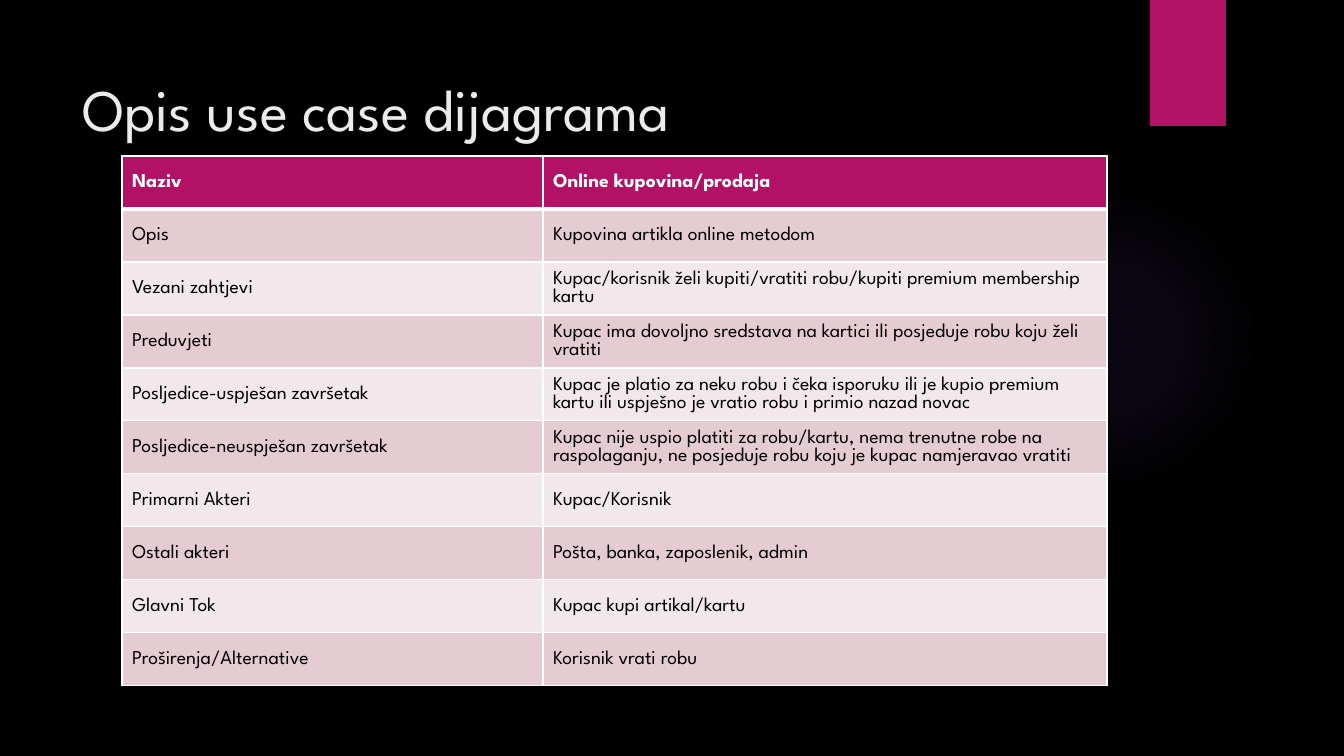
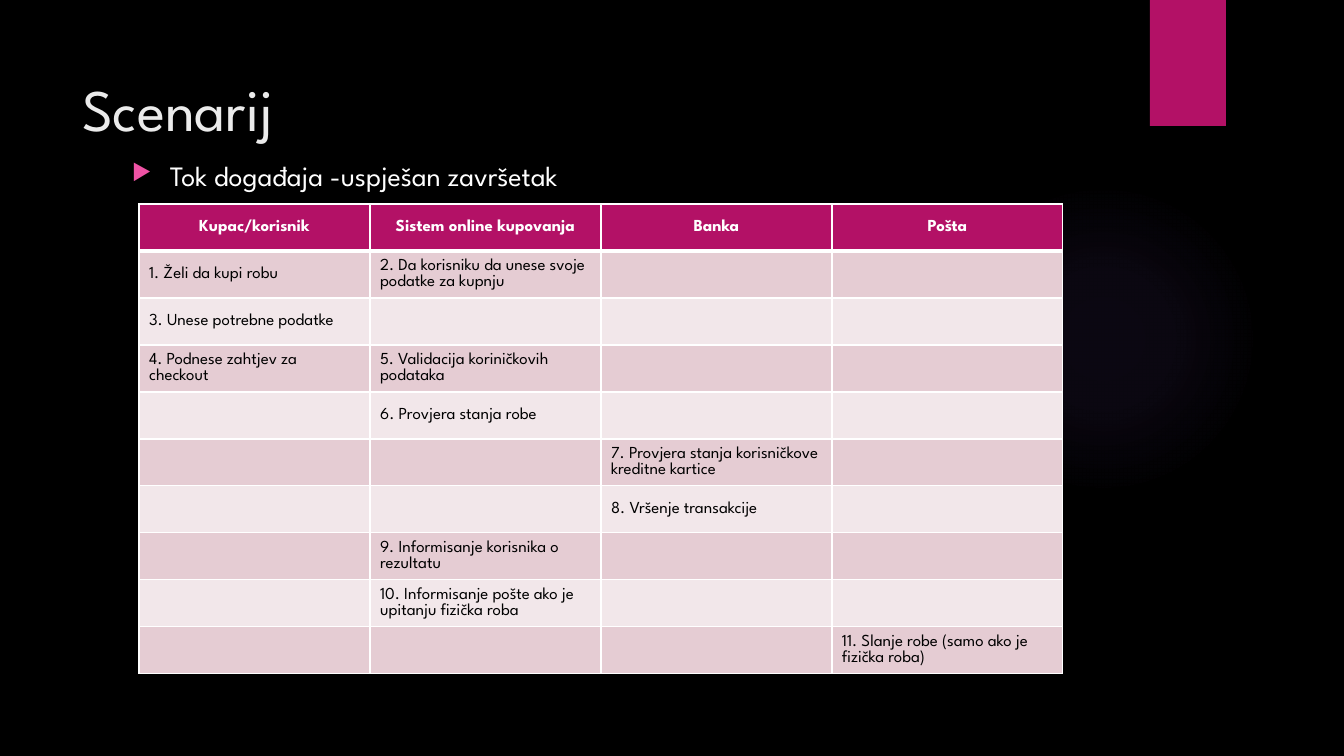
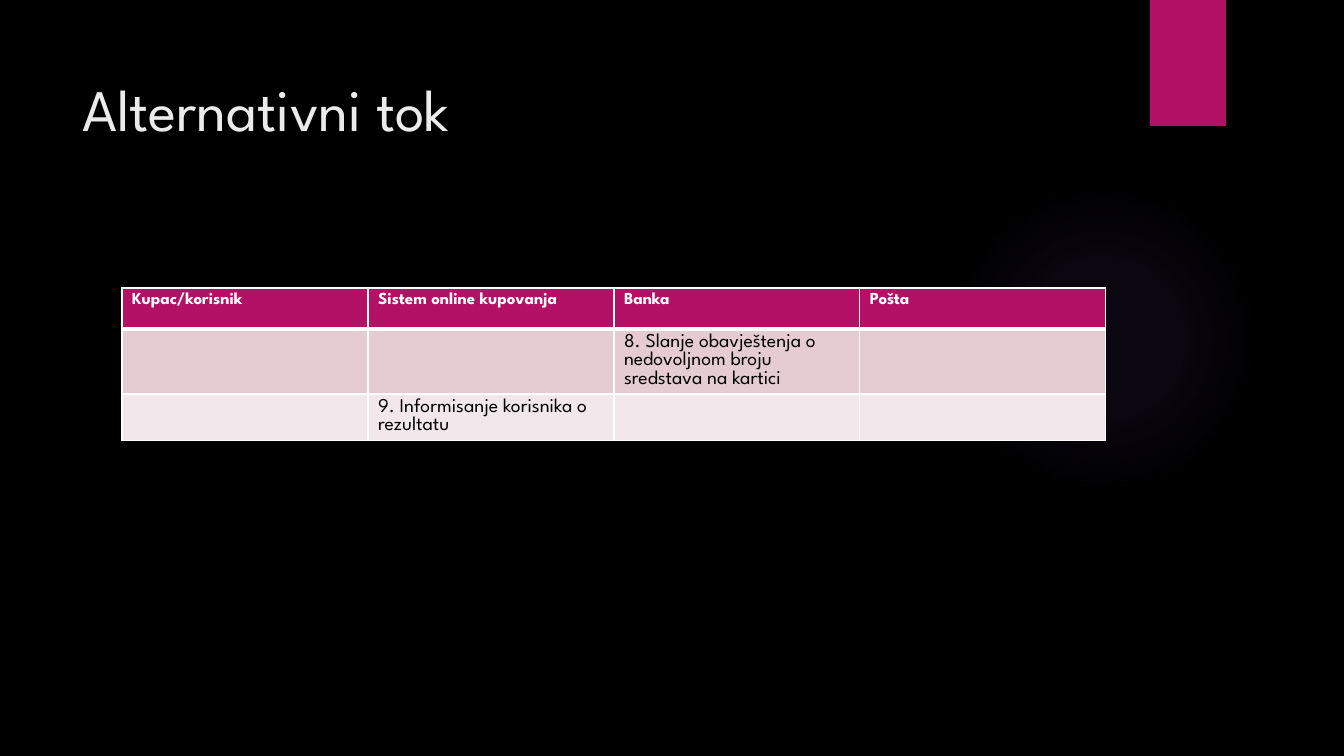
import pptx
import pptx.util
import pptx.dml.color
import pptx.enum.shapes
import pptx.enum.text
import pptx.oxml.ns
from lxml import etree

SCALE = 914400 / 100.8
FONT = "League Spartan"
COLORS = {
    "back": "000000",
    "title": "EBEBEB",
    "white": "FFFFFF",
    "black": "000000",
    "accent": "B31166",
    "bullet": "EF53A5",
    "glow": "9B6BF2",
    "odd": "E5CCD3",
    "even": "F2E7EA",
}
ACTORS = ["Kupac/korisnik", "Sistem online kupovanja", "Banka", "Pošta"]
USE_CASE = [
    ["Naziv", "Online kupovina/prodaja"],
    ["Opis", "Kupovina artikla online metodom"],
    ["Vezani zahtjevi", "Kupac/korisnik želi kupiti/vratiti robu/kupiti premium membership kartu"],
    ["Preduvjeti", "Kupac ima dovoljno sredstava na kartici ili posjeduje robu koju želi vratiti"],
    ["Posljedice-uspješan završetak",
     "Kupac je platio za neku robu i čeka isporuku ili je kupio premium kartu "
     "ili uspješno je vratio robu i primio nazad novac"],
    ["Posljedice-neuspješan završetak",
     "Kupac nije uspio platiti za robu/kartu, nema trenutne robe na raspolaganju, "
     "ne posjeduje robu koju je kupac namjeravao vratiti"],
    ["Primarni Akteri", "Kupac/Korisnik"],
    ["Ostali akteri", "Pošta, banka, zaposlenik, admin"],
    ["Glavni Tok", "Kupac kupi artikal/kartu"],
    ["Proširenja/Alternative", "Korisnik vrati robu"],
]
SCENARIO = [
    ACTORS,
    ["1. Želi da kupi robu", "2. Da korisniku da unese svoje podatke za kupnju", "", ""],
    ["3. Unese potrebne podatke", "", "", ""],
    ["4. Podnese zahtjev za checkout", "5. Validacija koriničkovih podataka", "", ""],
    ["", "6. Provjera stanja robe", "", ""],
    ["", "", "7. Provjera stanja korisničkove kreditne kartice", ""],
    ["", "", "8. Vršenje transakcije", ""],
    ["", "9. Informisanje korisnika o rezultatu", "", ""],
    ["", "10. Informisanje pošte ako je upitanju fizička roba", "", ""],
    ["", "", "", "11. Slanje robe (samo ako je fizička roba)"],
]
ALTERNATIVE = [
    ACTORS,
    ["", "", "8. Slanje obavještenja o nedovoljnom broju sredstava na kartici", ""],
    ["", "9. Informisanje korisnika o rezultatu", "", ""],
]


def px(n):
    return pptx.util.Emu(round(n * SCALE))


def rgb(name):
    return pptx.dml.color.RGBColor.from_string(COLORS[name])


def add_xml(parent, tag, **attrs):
    return etree.SubElement(parent, pptx.oxml.ns.qn(tag), {k: str(v) for k, v in attrs.items()})


def write(tf, text, size=14, color="black", bold=False, align="LEFT"):
    p = tf.paragraphs[0]
    p.alignment = getattr(pptx.enum.text.PP_ALIGN, align)
    r = p.add_run()
    r.text = text
    r.font.name = FONT
    r.font.size = pptx.util.Pt(size)
    r.font.bold = bold
    r.font.color.rgb = rgb(color)
    return p


class Deck:
    def __init__(self):
        self.prs = pptx.Presentation()
        self.prs.slide_width = px(1344)
        self.prs.slide_height = px(756)
        fill = self.prs.slide_master.background.fill
        fill.solid()
        fill.fore_color.rgb = rgb("back")
        self.s = None

    def slide(self, title, height):
        self.s = self.prs.slides.add_slide(self.prs.slide_layouts[5])
        self.glow(948, 184, 310)
        self.band(1150, 0, 76, 126)
        sp = self.s.shapes.title
        sp.left, sp.top, sp.width, sp.height = px(72), px(50), px(1037), px(height)
        self.frame(sp.text_frame, 23)
        write(sp.text_frame, title, size=42, color="title")

    def frame(self, tf, top):
        tf.word_wrap = True
        tf.auto_size = pptx.enum.text.MSO_AUTO_SIZE.NONE
        tf.vertical_anchor = pptx.enum.text.MSO_ANCHOR.TOP
        tf.margin_top = px(top)

    def shape(self, kind, x, y, w, h):
        sp = self.s.shapes.add_shape(getattr(pptx.enum.shapes.MSO_SHAPE, kind), px(x), px(y), px(w), px(h))
        sp.shadow.inherit = False
        sp.line.fill.background()
        return sp

    def band(self, x, y, w, h):
        sp = self.shape("RECTANGLE", x, y, w, h)
        sp.fill.solid()
        sp.fill.fore_color.rgb = rgb("accent")

    def glow(self, x, y, size):
        sp = self.shape("OVAL", x, y, size, size)
        sp.fill.gradient()
        grad = sp.element.spPr.find(pptx.oxml.ns.qn("a:gradFill"))
        for child in list(grad):
            grad.remove(child)
        stops = add_xml(grad, "a:gsLst")
        for pos, alpha in ((0, 7), (36, 6), (69, 0)):
            stop = add_xml(stops, "a:gs", pos=pos * 1000)
            color = add_xml(stop, "a:srgbClr", val=COLORS["glow"])
            add_xml(color, "a:alpha", val=alpha * 1000)
        shade = add_xml(grad, "a:path", path="circle")
        add_xml(shade, "a:fillToRect", l=50000, t=50000, r=50000, b=50000)

    def bullet(self, text, x, y, w, h):
        tf = self.s.shapes.add_textbox(px(x), px(y), px(w), px(h)).text_frame
        self.frame(tf, 13)
        p = write(tf, text, size=20, color="white")
        pPr = p._p.get_or_add_pPr()
        pPr.set("marL", str(px(38)))
        pPr.set("indent", str(-px(38)))
        add_xml(add_xml(pPr, "a:buClr"), "a:srgbClr", val=COLORS["bullet"])
        add_xml(pPr, "a:buSzPct", val=80000)
        add_xml(pPr, "a:buChar", char="▶")

    def borders(self, cell, top, bottom):
        tcPr = cell._tc.get_or_add_tcPr()
        for side, width in (("L", 1), ("R", 1), ("T", top), ("B", bottom)):
            ln = add_xml(tcPr, "a:ln" + side, w=pptx.util.Pt(width))
            add_xml(add_xml(ln, "a:solidFill"), "a:srgbClr", val=COLORS["white"])

    def table(self, rows, x, y, widths, heights, head_size=12, size=14, head_align="LEFT", anchor="MIDDLE"):
        tbl = self.s.shapes.add_table(
            len(rows), len(widths), px(x), px(y), px(sum(widths)), px(sum(heights))).table
        for col, width in zip(tbl.columns, widths):
            col.width = px(width)
        for i, (row, height) in enumerate(zip(rows, heights)):
            tbl.rows[i].height = px(height)
            head = i == 0
            fill = "accent" if head else "odd" if i % 2 else "even"
            for j, text in enumerate(row):
                cell = tbl.cell(i, j)
                self.borders(cell, 3 if i == 1 else 1, 3 if head else 1)
                cell.fill.solid()
                cell.fill.fore_color.rgb = rgb(fill)
                cell.vertical_anchor = getattr(pptx.enum.text.MSO_ANCHOR, anchor)
                if text:
                    write(cell.text_frame, text, size=head_size if head else size,
                          color="white" if head else "black", bold=head,
                          align=head_align if head else "LEFT")


def main():
    deck = Deck()
    deck.slide("Opis use case dijagrama", 91)
    deck.table(USE_CASE, 122, 156, [421, 564], [53] * 10, head_size=14)

    deck.slide("Scenarij", 78)
    deck.bullet("Tok događaja -uspješan završetak", 122, 145, 986, 563)
    deck.table(SCENARIO, 139, 204, [231] * 4, [47] * 10, size=12, head_align="CENTER")

    deck.slide("Alternativni tok", 89)
    deck.table(ALTERNATIVE, 122, 288, [246] * 4, [41, 65, 46], anchor="TOP")
    deck.prs.save("out.pptx")


if __name__ == "__main__":
    main()
